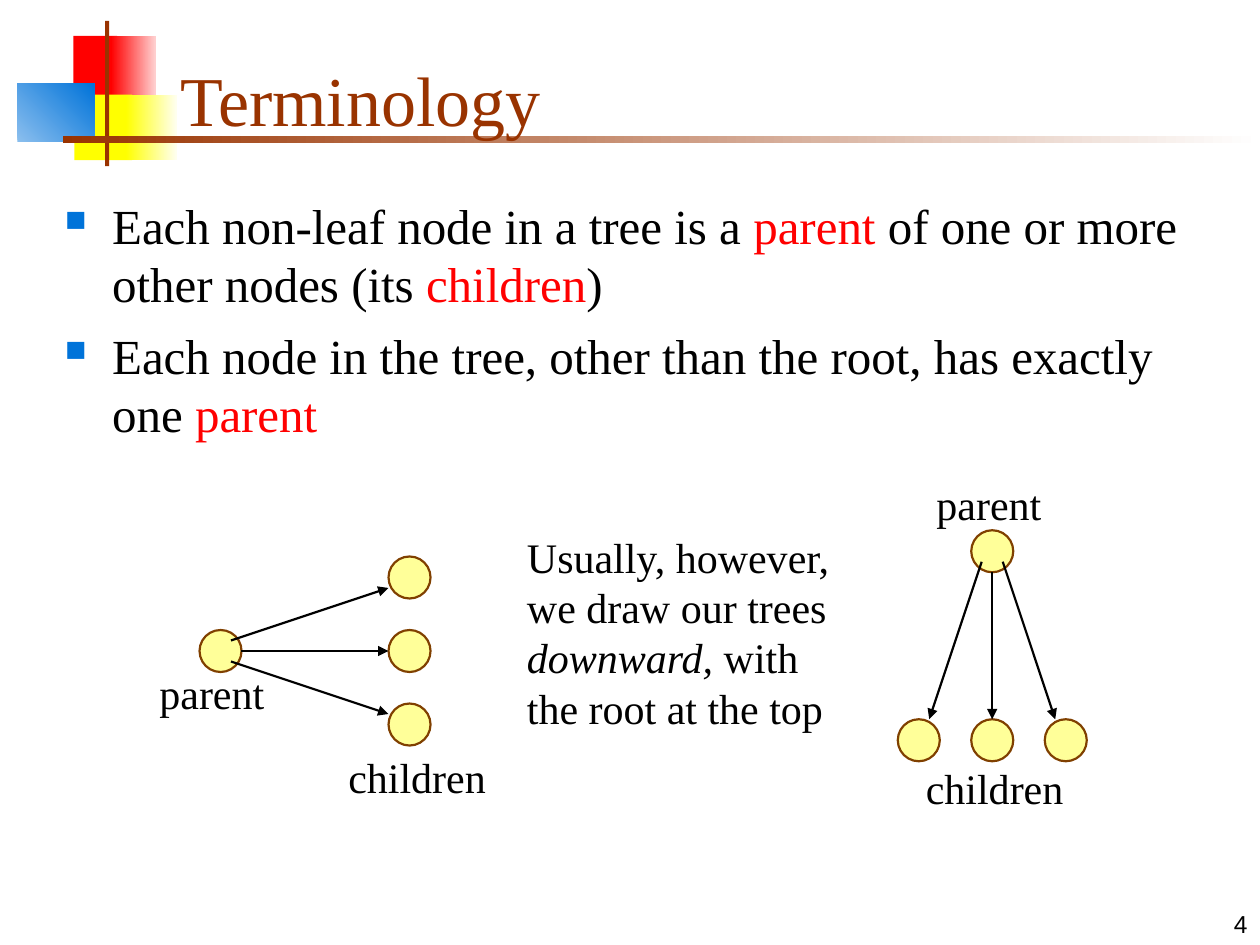
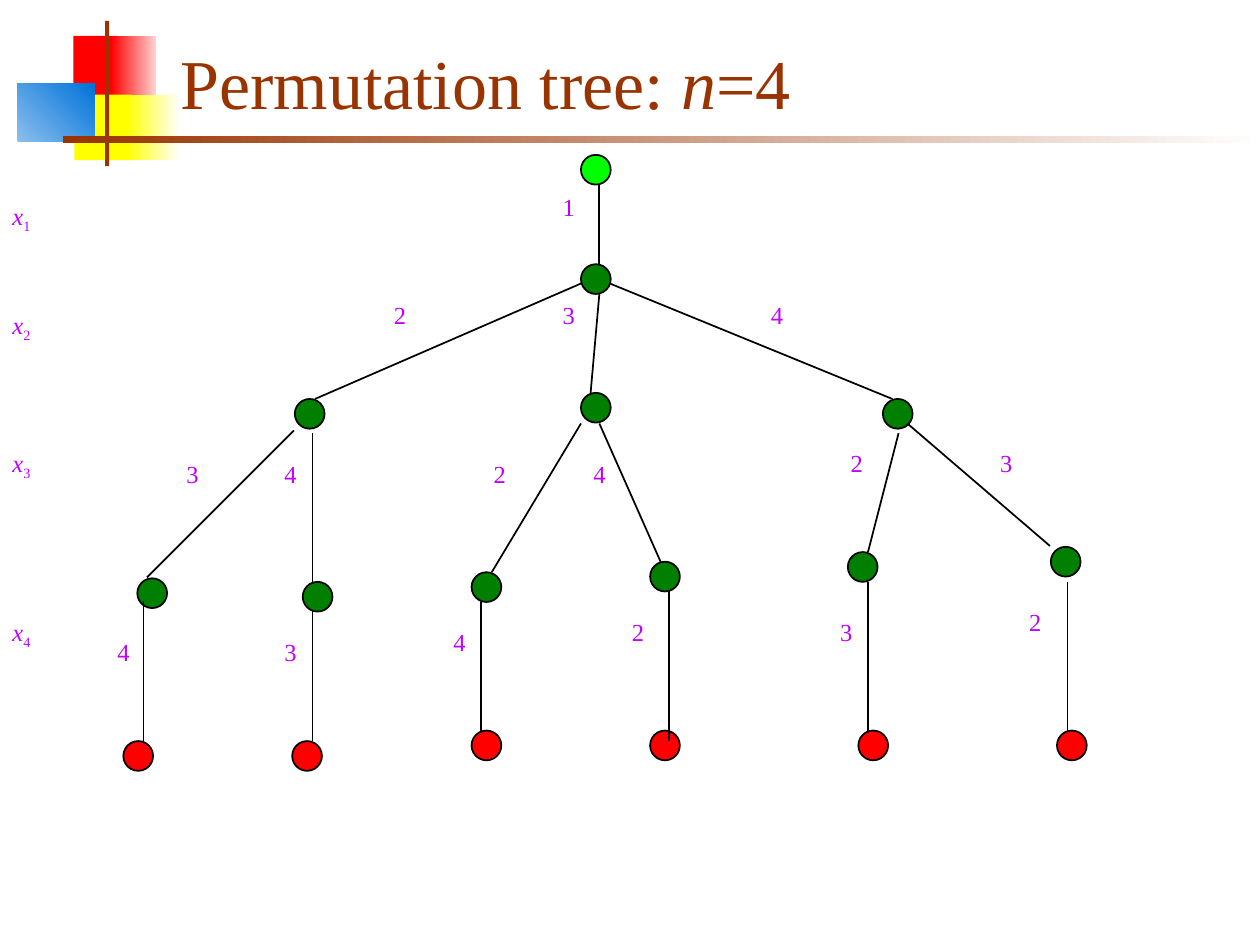
from lxml import etree
from pptx import Presentation
from pptx.dml.color import RGBColor
from pptx.enum import shapes, text
from pptx.oxml import ns
from pptx.util import Pt

SERIF = "Times New Roman"
BROWN, BLUE, RED, YELLOW = "993300", "0073D9", "FF0000", "FFFF00"
BLACK, PURPLE = "000000", "BF00FF"
NODE_FILL, NODE_LINE = "FFFF99", "804000"
ROOT_GREEN, NODE_GREEN = "00FF00", "007F00"

# left, top, width, height, colours, angle
BANDS = [
    (42, 20.5, 25, 37.5, [RED], 0),
    (63.5, 20.5, 25.5, 37.5, [RED, "FFD1D1"], 0),
    (42.5, 54, 33, 37.5, [YELLOW], 0),
    (72, 54, 29, 37.5, [YELLOW, "FFFFF0"], 0),
    (10, 47.5, 44, 33.5, ["8BBFEE", BLUE], 45),
    (60, 12, 2.4, 83, [BROWN], 0),
    (36, 78, 684, 3.8, [BROWN, "FFFFFF"], 0),
]

# digit, label position, edge start, edge end, child position
BRANCHES = [
    ("1", (314.5, 106), (342.5, 106), (342.5, 151), (332, 151)),
    ("2", (218, 168), (332, 162), (180, 228), (168.5, 228)),
    ("3", (314.5, 168), (342.5, 168), (337.5, 224.5), (332, 224.5)),
    ("4", (433.5, 168), (348.5, 162), (510, 228), (504.5, 228)),
    ("3", (99.5, 258.5), (168, 246), (84, 330), (78.5, 330.5)),
    ("4", (155.5, 258.5), (178.5, 247.5), (178.5, 332.5), (173, 332.5)),
    ("2", (275, 258.5), (332, 242), (281, 327), (269.5, 327)),
    ("4", (332, 258.5), (342.5, 242), (377.5, 321), (371.5, 321)),
    ("2", (479, 252.5), (513.5, 247.5), (496, 315.5), (484.5, 315.5)),
    ("3", (564.5, 252.5), (518.5, 242), (600, 312), (600.5, 312.5)),
]
LEAF_BRANCHES = [
    ("4", (60, 360.5), (82, 343.5), (82, 423.5), (70.5, 423.5)),
    ("3", (155.5, 360.5), (178.5, 349), (178.5, 423.5), (167, 423.5)),
    ("4", (252, 355), (275, 343.5), (275, 417.5), (269.5, 417.5)),
    ("2", (354, 349), (382.5, 337.5), (382.5, 423.5), (371.5, 417.5)),
    ("3", (473, 349), (496, 332.5), (496, 417.5), (490.5, 417.5)),
    ("2", (581, 343.5), (610, 332.5), (610, 417.5), (604, 417.5)),
]
LEVEL_TOPS = [111.5, 173.5, 252.5, 349]


def rgb(code):
    return RGBColor.from_string(code)


def add_xml(parent, tag, **attributes):
    return etree.SubElement(parent, ns.qn(tag), attributes)


def add_band(slide, left, top, width, height, colours, angle):
    band = slide.shapes.add_shape(shapes.MSO_SHAPE.RECTANGLE,
                                  Pt(left), Pt(top), Pt(width), Pt(height))
    band.shadow.inherit = False
    band.line.fill.background()
    if len(colours) == 1:
        band.fill.solid()
        band.fill.fore_color.rgb = rgb(colours[0])
        return
    band.fill.gradient()
    band.fill.gradient_angle = angle
    for stop, colour in zip(band.fill.gradient_stops, colours):
        stop.color.rgb = rgb(colour)


def add_circle(slide, left, top, size, fill, outline, weight):
    circle = slide.shapes.add_shape(shapes.MSO_SHAPE.OVAL,
                                    Pt(left), Pt(top), Pt(size), Pt(size))
    circle.shadow.inherit = False
    circle.fill.solid()
    circle.fill.fore_color.rgb = rgb(fill)
    circle.line.color.rgb = rgb(outline)
    circle.line.width = Pt(weight)


def add_edge(slide, start, end, weight, arrow=False):
    edge = slide.shapes.add_connector(shapes.MSO_CONNECTOR.STRAIGHT,
                                      *map(Pt, start), *map(Pt, end))
    edge.line.color.rgb = rgb(BLACK)
    edge.line.width = Pt(weight)
    if arrow:
        add_xml(edge.line._get_or_add_ln(), "a:tailEnd", type="triangle")
    add_xml(edge._element.spPr, "a:effectLst")


def add_run(paragraph, words, size, colour, italic=False, font=SERIF):
    run = paragraph.add_run()
    run.text = words
    run.font.name = font
    run.font.size = Pt(size)
    run.font.color.rgb = rgb(colour)
    run.font.italic = italic
    return run


def add_frame(slide, left, top, width, height, anchor=text.MSO_ANCHOR.TOP):
    frame = slide.shapes.add_textbox(Pt(left), Pt(top), Pt(width), Pt(height)).text_frame
    frame.word_wrap = True
    frame.vertical_anchor = anchor
    return frame


def add_label(slide, left, top, width, height, parts, size, colour, before):
    paragraph = add_frame(slide, left, top, width, height).paragraphs[0]
    paragraph.space_before = Pt(before)
    return [add_run(paragraph, words, size, colour, italic) for words, italic in parts]


def add_title(slide, parts, height, anchor):
    paragraph = add_frame(slide, 96, 18, 613.5, height, anchor).paragraphs[0]
    for words, italic in parts:
        add_run(paragraph, words, 40, BROWN, italic)


def add_bullets(slide, bullets):
    frame = add_frame(slide, 30, 108, 675, 175)
    for index, parts in enumerate(bullets):
        paragraph = frame.add_paragraph() if index else frame.paragraphs[0]
        paragraph.space_before = Pt(7)
        properties = paragraph._p.get_or_add_pPr()
        properties.set("marL", str(Pt(27)))
        properties.set("indent", str(Pt(-27)))
        add_xml(add_xml(properties, "a:buClr"), "a:srgbClr", val=BLUE)
        add_xml(properties, "a:buSzPct", val="60000")
        add_xml(properties, "a:buChar", char="■")
        for words, colour in parts:
            add_run(paragraph, words, 28, colour)


def add_slide_number(slide, number):
    frame = add_frame(slide, 570, 504, 150, 36, text.MSO_ANCHOR.BOTTOM)
    frame.paragraphs[0].alignment = text.PP_ALIGN.RIGHT
    add_run(frame.paragraphs[0], number, 14, BLACK, font="Arial")


def add_family(slide, centre, parent_label, children_label, downward=False):
    def place(along, across):
        dx, dy = (across, along) if downward else (along, across)
        return centre[0] + dx, centre[1] + dy

    sides = (-1, 0, 1)
    for x, y in [place(0, 0)] + [place(108, 42 * side) for side in sides]:
        add_circle(slide, x - 12, y - 12, 24, NODE_FILL, NODE_LINE, 1.25)
    for side in sides:
        start = place(6 if side else 12, 6 * side)
        add_edge(slide, start, place(96, 36 * side), 1.25, arrow=True)
    add_label(slide, *parent_label, 90, 36, [("parent", False)], 24, BLACK, 15)
    add_label(slide, *children_label, 102, 36, [("children", False)], 24, BLACK, 15)


def add_branch(slide, digit, label, start, end, child, fill):
    add_circle(slide, *child, 17, fill, BLACK, 1)
    add_edge(slide, start, end, 1)
    add_label(slide, *label, 36, 24, [(digit, False)], 14, PURPLE, 8.8)


def new_slide(deck):
    slide = deck.slides.add_slide(deck.slide_layouts[6])
    for band in BANDS:
        add_band(slide, *band)
    return slide


def build_terminology(deck):
    slide = new_slide(deck)
    add_slide_number(slide, "4")
    add_title(slide, [("Terminology", False)], 66, text.MSO_ANCHOR.BOTTOM)
    add_bullets(slide, [
        [("Each non-leaf node in a tree is a ", BLACK), ("parent", RED),
         (" of one or more other nodes (its ", BLACK), ("children", RED), (")", BLACK)],
        [("Each node in the tree, other than the root, has exactly one ", BLACK),
         ("parent", RED)],
    ])
    add_family(slide, (126, 372), (84, 378), (192, 426))
    add_family(slide, (567, 315), (528, 270), (522, 432), downward=True)
    add_label(slide, 294, 300, 204, 122.5, [
        ("Usually, however, we draw our trees ", False),
        ("downward,", True),
        (" with the root at the top", False),
    ], 24, BLACK, 15)


def build_permutation_tree(deck):
    slide = new_slide(deck)
    add_title(slide, [("Permutation tree: ", False), ("n", True), ("=4", False)],
              57.5, text.MSO_ANCHOR.MIDDLE)
    add_circle(slide, 332, 88.5, 17, ROOT_GREEN, BLACK, 1)
    for branch in BRANCHES:
        add_branch(slide, *branch, NODE_GREEN)
    for branch in LEAF_BRANCHES:
        add_branch(slide, *branch, RED)
    for level, top in enumerate(LEVEL_TOPS, 1):
        variable, subscript = add_label(slide, 0, top, 42.5, 26.5,
                                        [("x", True), (str(level), False)],
                                        14, PURPLE, 8.8)
        subscript.font._element.set("baseline", "-25000")


def main():
    deck = Presentation()
    deck.slide_width, deck.slide_height = Pt(720), Pt(540)
    build_terminology(deck)
    build_permutation_tree(deck)
    deck.save("out.pptx")


if __name__ == "__main__":
    main()
